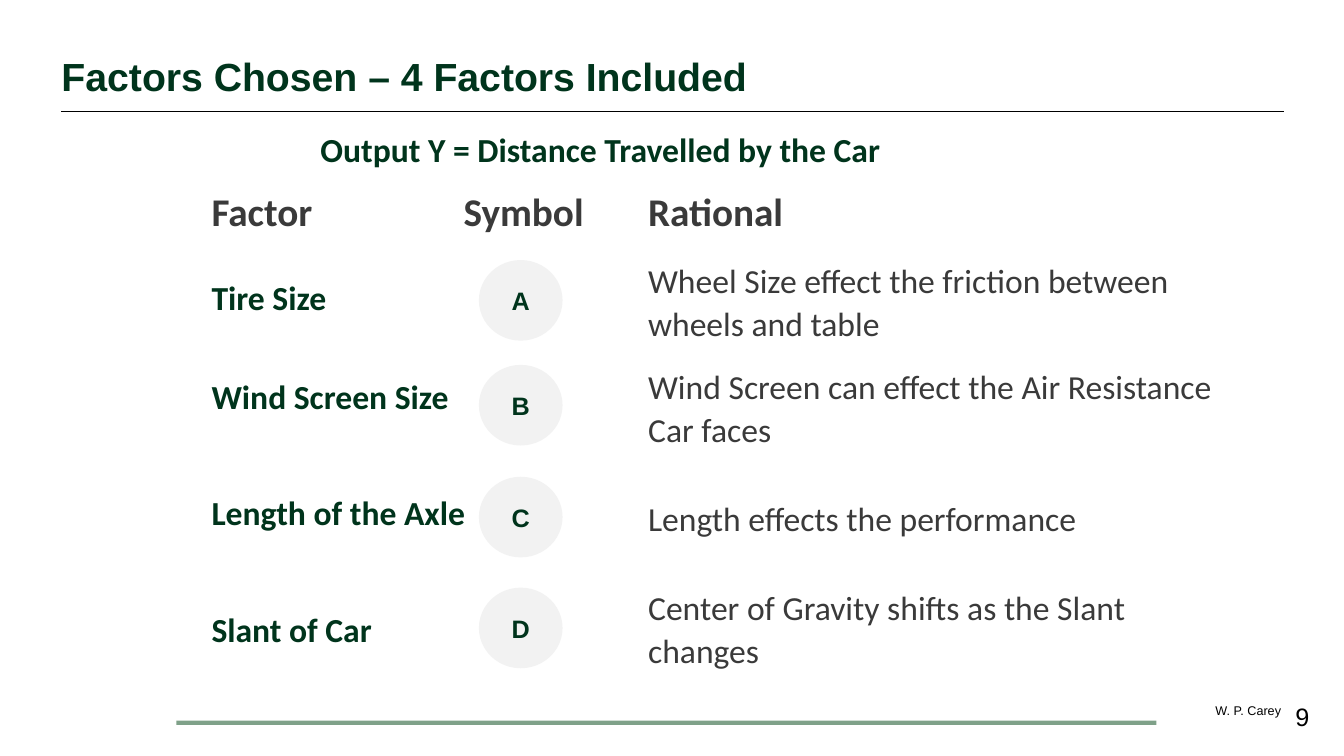
from dataclasses import dataclass

from lxml import etree
from pptx import Presentation
from pptx import util as u
from pptx.dml.color import RGBColor
from pptx.enum import shapes, text
from pptx.oxml import ns

GREEN = RGBColor(0x00, 0x34, 0x1C)
RULE_GREEN = RGBColor(0x00, 0x44, 0x14)
GREY = RGBColor(0x3A, 0x3A, 0x3A)
PALE = RGBColor(0xF2, 0xF2, 0xF2)
BLACK = RGBColor(0, 0, 0)

LEFT, CENTER = text.PP_ALIGN.LEFT, text.PP_ALIGN.CENTER
TOP, MIDDLE, BOTTOM = (text.MSO_ANCHOR.TOP, text.MSO_ANCHOR.MIDDLE,
                       text.MSO_ANCHOR.BOTTOM)
BODY = {"line_spacing": 1.07, "space_after": u.Pt(8), "alignment": LEFT}
ROW_HEIGHT = 0.58
FACTOR_X, SYMBOL_X, RATIONAL_X = 2, 4.75, 6.33


@dataclass(frozen=True)
class Style:
    name: str
    size: int
    color: RGBColor
    bold: bool = False


@dataclass(frozen=True)
class Label:
    words: str
    left: float
    top: float
    width: float
    style: Style


@dataclass(frozen=True)
class Factor:
    name: str
    name_top: float
    symbol: str
    symbol_top: float
    rational: str
    rational_top: float


TITLE = Style("Arial", 28, GREEN, True)
HEADING = Style("Calibri", 28, GREY, True)
NAME = Style("Calibri", 24, GREEN, True)
RATIONAL = Style("Calibri", 24, GREY)
SYMBOL = Style("Arial", 18, GREEN, True)
NUMBER = Style("Arial", 18, BLACK)
CREDIT = Style("Arial", 9, BLACK)

LABELS = [
    Label("Output Y = Distance Travelled by the Car", 3.08, 1.17, 7.17, NAME),
    Label("Factor", FACTOR_X, 1.79, 2.7, HEADING),
    Label("Symbol", 4.5, 1.79, 1.64, HEADING),
    Label("Rational", RATIONAL_X, 1.79, 3.08, HEADING),
]
FACTORS = [
    Factor("Tire Size", 2.64, "A", 2.58,
           "Wheel Size effect the friction between wheels and table", 2.69),
    Factor("Wind Screen Size", 3.63, "B", 3.62,
           "Wind Screen can effect the Air Resistance Car faces", 3.74),
    Factor("Length of the Axle", 4.78, "C", 4.73,
           "Length effects the performance", 4.84),
    Factor("Slant of Car", 5.94, "D", 5.83,
           "Center of Gravity shifts as the Slant changes", 5.93),
]


def box(*lengths: float) -> list:
    return [u.Inches(n) for n in lengths]


def write(sp, words: str, style: Style, para: dict, anchor=MIDDLE,
          wrap: bool = True, inset: bool = True) -> None:
    tf = sp.text_frame
    frame = {"word_wrap": wrap, "vertical_anchor": anchor,
             "auto_size": text.MSO_AUTO_SIZE.NONE}
    if not inset:
        frame |= {f"margin_{side}": 0
                  for side in ("left", "top", "right", "bottom")}
    for key, value in frame.items():
        setattr(tf, key, value)
    p = tf.paragraphs[0]
    for key, value in para.items():
        setattr(p, key, value)
    r = p.add_run()
    r.text = words
    for key, value in {"name": style.name, "size": u.Pt(style.size),
                       "bold": style.bold}.items():
        setattr(r.font, key, value)
    r.font.color.rgb = style.color


def add_label(s, label: Label) -> None:
    sp = s.shapes.add_textbox(
        *box(label.left, label.top, label.width, ROW_HEIGHT))
    write(sp, label.words, label.style, BODY)


def add_symbol(s, letter: str, top: float) -> None:
    sp = s.shapes.add_shape(shapes.MSO_SHAPE.OVAL,
                            *box(SYMBOL_X, top, 0.83, 0.8))
    sp.shadow.inherit = False
    sp.fill.solid()
    sp.fill.fore_color.rgb = PALE
    sp.line.fill.background()
    write(sp, letter, SYMBOL, {"alignment": CENTER})


def add_rule(s, x1: float, x2: float, y: float, color: RGBColor,
             weight: float, opacity: int = 100) -> None:
    line = s.shapes.add_connector(shapes.MSO_CONNECTOR.STRAIGHT,
                                  *box(x1, y, x2, y))
    line.line.color.rgb = color
    line.line.width = u.Pt(weight)
    sp_pr = line._element.spPr
    if opacity < 100:
        tint = sp_pr.find(".//" + ns.qn("a:srgbClr"))
        etree.SubElement(tint, ns.qn("a:alpha")).set("val", str(opacity * 1000))
    etree.SubElement(sp_pr, ns.qn("a:effectLst"))


def main() -> None:
    prs = Presentation()
    prs.slide_width, prs.slide_height = box(13.33, 7.5)
    s = prs.slides.add_slide(prs.slide_layouts[5])

    title = s.shapes.title
    title.left, title.top, title.width, title.height = box(
        0.61, 0.19, 11.11, 0.8)
    write(title, "Factors Chosen – 4 Factors Included", TITLE,
          {"alignment": LEFT}, BOTTOM, inset=False)

    add_rule(s, 0.61, 12.73, 1.1, BLACK, 0.5)
    add_rule(s, 1.75, 11.47, 7.17, RULE_GREEN, 3, 50)

    credit = s.shapes.add_textbox(*box(12.04, 6.97, 0.68, 0.15))
    write(credit, "W. P. Carey", CREDIT, {"alignment": CENTER},
          wrap=False, inset=False)
    number = s.shapes.add_textbox(*box(12.75, 6.91, 0.33, 0.4))
    write(number, "9", NUMBER, {"alignment": LEFT}, TOP)

    for label in LABELS:
        add_label(s, label)
    for f in FACTORS:
        add_label(s, Label(f.name, FACTOR_X, f.name_top, 3.17, NAME))
        add_symbol(s, f.symbol, f.symbol_top)
        add_label(s, Label(f.rational, RATIONAL_X, f.rational_top, 5.83,
                           RATIONAL))

    prs.save("out.pptx")


if __name__ == "__main__":
    main()
